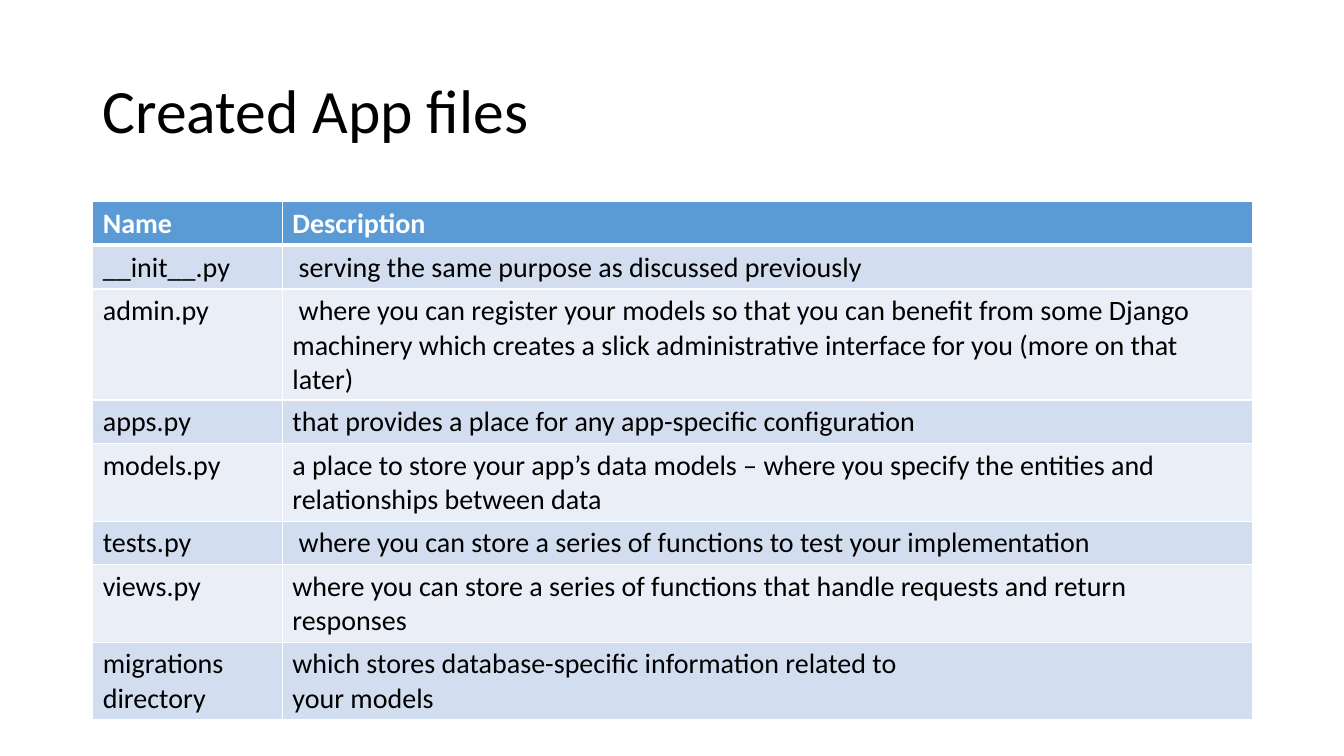
from lxml import etree
from pptx import Presentation
from pptx.dml.color import RGBColor
from pptx.enum.text import MSO_ANCHOR
from pptx.oxml.ns import qn
from pptx.util import Inches, Pt

MIDDLE = MSO_ANCHOR.MIDDLE

THEME = {
    "font": "Calibri",
    "title_size": 44,
    "table_size": 20,
    "text": "000000",
    "header_text": "FFFFFF",
    "header_fill": "5B9BD5",
    "band_fills": ["D2DEEF", "EAEFF7"],
    "border": "FFFFFF",
}

FILES = [
    ("Name", "Description"),
    ("__init__.py", " serving the same purpose as discussed previously"),
    ("admin.py", " where you can register your models so that you can benefit from some "
                 "Django machinery which creates a slick administrative interface for you "
                 "(more on that later)"),
    ("apps.py", "that provides a place for any app-specific configuration"),
    ("models.py", "a place to store your app’s data models – where you specify the "
                  "entities and relationships between data"),
    ("tests.py", " where you can store a series of functions to test your implementation"),
    ("views.py", "where you can store a series of functions that handle requests and "
                 "return responses"),
    ("migrations directory", "which stores database-specific information related to\n"
                             "your models"),
]
COLUMN_WIDTHS = [1.88, 9.62]
ROW_HEIGHT = 0.41


def add_run(paragraph, text, size, color, bold=False):
    run = paragraph.add_run()
    run.text = text
    run.font.name = THEME["font"]
    run.font.size = Pt(size)
    run.font.bold = bold
    run.font.color.rgb = RGBColor.from_string(color)


def add_borders(cell, bottom_width):
    properties = cell._tc.get_or_add_tcPr()
    for side, width in (("L", 1), ("R", 1), ("T", 1), ("B", bottom_width)):
        line = etree.SubElement(properties, qn(f"a:ln{side}"), w=str(Pt(width)))
        fill = etree.SubElement(line, qn("a:solidFill"))
        etree.SubElement(fill, qn("a:srgbClr"), val=THEME["border"])


presentation = Presentation()
presentation.slide_width = Inches(13.33)
presentation.slide_height = Inches(7.5)
slide = presentation.slides.add_slide(presentation.slide_layouts[6])

# Title
title = slide.shapes.add_textbox(Inches(0.92), Inches(0.4), Inches(11.5), Inches(1.45))
title.text_frame.word_wrap = True
title.text_frame.vertical_anchor = MIDDLE
title_paragraph = title.text_frame.paragraphs[0]
title_paragraph.line_spacing = 0.9
add_run(title_paragraph, "Created App files", THEME["title_size"], THEME["text"])

# Table of app files
table = slide.shapes.add_table(
    len(FILES), len(COLUMN_WIDTHS), Inches(0.92), Inches(2),
    Inches(sum(COLUMN_WIDTHS)), Inches(ROW_HEIGHT * len(FILES))).table
for column, width in zip(table.columns, COLUMN_WIDTHS):
    column.width = Inches(width)

for row_index, file_row in enumerate(FILES):
    table.rows[row_index].height = Inches(ROW_HEIGHT)
    is_header = row_index == 0
    fill_color = THEME["header_fill"] if is_header else THEME["band_fills"][(row_index - 1) % 2]
    text_color = THEME["header_text"] if is_header else THEME["text"]
    for column_index, text in enumerate(file_row):
        cell = table.cell(row_index, column_index)
        add_borders(cell, 3 if is_header else 1)
        cell.fill.solid()
        cell.fill.fore_color.rgb = RGBColor.from_string(fill_color)
        for line_index, line_text in enumerate(text.split("\n")):
            frame = cell.text_frame
            paragraph = frame.add_paragraph() if line_index else frame.paragraphs[0]
            add_run(paragraph, line_text, THEME["table_size"], text_color, is_header)

presentation.save("out.pptx")
